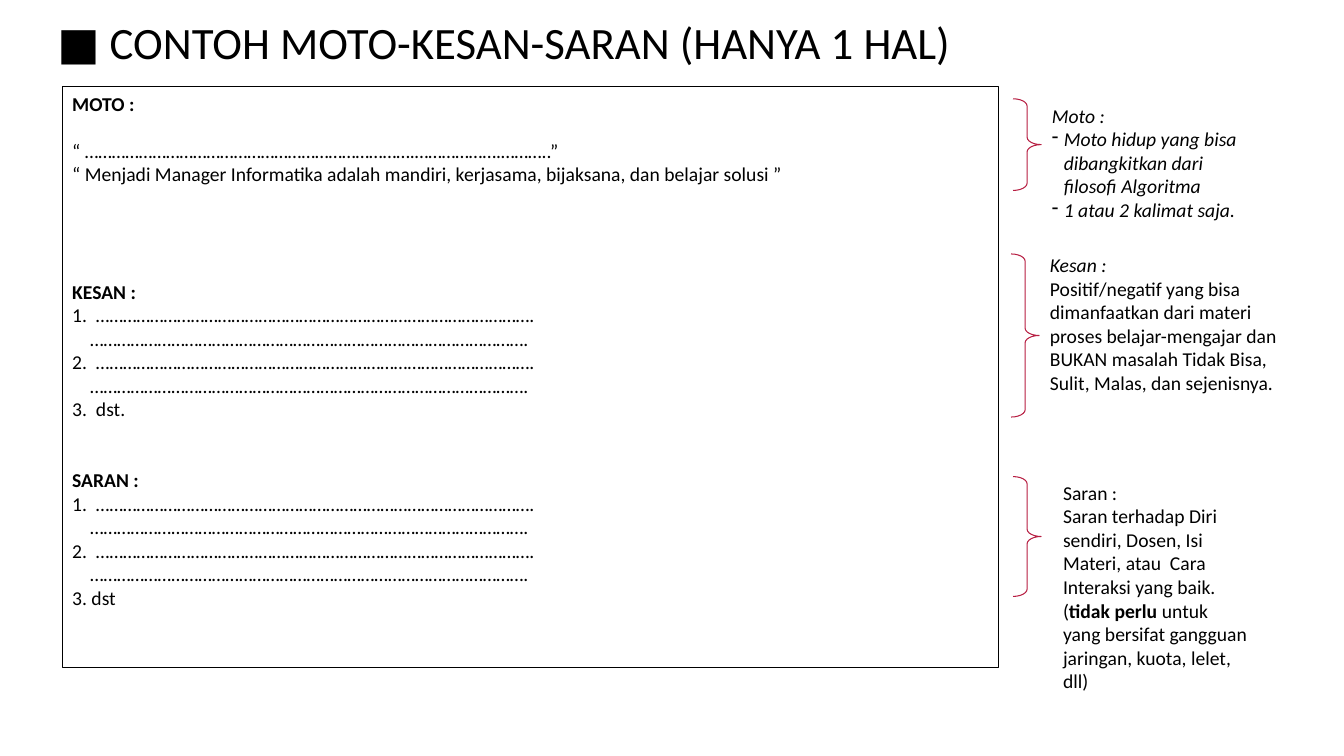
from dataclasses import dataclass

from lxml import etree
from pptx import Presentation
from pptx import util as u
from pptx.dml import color
from pptx.enum import shapes, text
from pptx.oxml import ns

BLACK = "000000"
CRIMSON = "B71E42"
LINE_PITCH = 16.8
NUMBER_INDENT = 0.6
CONTINUATION_INDENT = 0.45
DASH_INDENT = 0.3
DOTS = "……………………………………………………………………………………."


@dataclass(frozen=True)
class Area:
    left: float
    top: float
    width: float
    height: float

    def lengths(self) -> tuple:
        return tuple(u.Cm(v) for v in (self.left, self.top, self.width, self.height))


@dataclass(frozen=True)
class Span:
    text: str
    bold: bool = False
    italic: bool = False


@dataclass(frozen=True)
class Line:
    spans: tuple
    blank_lines: int = 0
    margin: float = 0
    hanging: float = 0
    bullet: str = ""


@dataclass(frozen=True)
class Note:
    brace: Area
    area: Area
    lines: tuple


def plain(words: str, **layout) -> Line:
    return Line((Span(words),), **layout)


def heading(words: str, blank_lines: int = 0) -> Line:
    return Line((Span(words, bold=True),), blank_lines)


def slanted(words: str, **layout) -> Line:
    return Line((Span(words, italic=True),), **layout)


def dashed(words: str) -> Line:
    return slanted(words, margin=DASH_INDENT, hanging=DASH_INDENT, bullet="-")


def dotted_items() -> tuple:
    return tuple(
        line
        for number in (1, 2)
        for line in (
            plain(f"{number}.\t{DOTS}", margin=NUMBER_INDENT, hanging=NUMBER_INDENT),
            plain(DOTS, margin=CONTINUATION_INDENT),
        )
    )


TITLE_AREA = Area(1.19, 0.38, 31.24, 1.37)
FORM_AREA = Area(1.57, 2.18, 23.6, 14.63)
FORM_LINES = (
    heading("MOTO :"),
    plain("“ ……………………………………………………………….……………….………..”", blank_lines=1),
    plain("“ Menjadi Manager Informatika adalah mandiri, kerjasama, bijaksana, "
          "dan belajar solusi ”"),
    heading("KESAN :", blank_lines=4),
    *dotted_items(),
    plain("3.\tdst.", margin=NUMBER_INDENT, hanging=NUMBER_INDENT),
    heading("SARAN :", blank_lines=2),
    *dotted_items(),
    plain("3. dst"),
)
NOTES = (
    Note(Area(25.53, 2.49, 0.71, 2.31), Area(26.26, 2.49, 5.46, 3.25), (
        slanted("Moto :"),
        dashed("Moto hidup yang bisa dibangkitkan dari filosofi Algoritma"),
        dashed("1 atau 2 kalimat saja."),
    )),
    Note(Area(25.48, 6.4, 0.71, 4.11), Area(26.21, 6.25, 6.71, 3.84), (
        slanted("Kesan :"),
        plain("Positif/negatif yang bisa dimanfaatkan dari materi proses "
              "belajar-mengajar dan BUKAN masalah Tidak Bisa, Sulit, Malas, "
              "dan sejenisnya."),
    )),
    Note(Area(25.53, 12.01, 0.71, 3.02), Area(26.54, 11.99, 5.21, 5.64), (
        plain("Saran :"),
        plain("Saran terhadap Diri sendiri, Dosen, Isi Materi, atau  Cara "
              "Interaksi yang baik."),
        Line((Span("("), Span("tidak perlu ", bold=True),
              Span("untuk yang bersifat gangguan jaringan, kuota, lelet, dll)"))),
    )),
)


def rgb(code: str) -> color.RGBColor:
    return color.RGBColor.from_string(code)


def apply(target, values: dict) -> None:
    for name, value in values.items():
        setattr(target, name, value)


def add_span(para, span: Span, size: float) -> None:
    run = para.add_run()
    run.text = span.text
    apply(run.font, {"name": "Calibri", "size": u.Pt(size),
                     "bold": span.bold, "italic": span.italic})
    run.font.color.rgb = rgb(BLACK)


def write_lines(frame, lines: tuple, align) -> None:
    apply(frame, {"word_wrap": True, "auto_size": text.MSO_AUTO_SIZE.NONE,
                  "vertical_anchor": text.MSO_ANCHOR.TOP})
    for index, line in enumerate(lines):
        para = frame.add_paragraph() if index else frame.paragraphs[0]
        apply(para, {"alignment": align,
                     "space_before": u.Pt(line.blank_lines * LINE_PITCH)})
        properties = para._p.get_or_add_pPr()
        properties.set("marL", str(u.Cm(line.margin)))
        properties.set("indent", str(-u.Cm(line.hanging)))
        if line.bullet:
            etree.SubElement(properties, ns.qn("a:buChar"), char=line.bullet)
        for span in line.spans:
            add_span(para, span, 14)


def add_outline(slide, kind, area: Area, line_color: str):
    shape = slide.shapes.add_shape(kind, *area.lengths())
    shape.shadow.inherit = False
    shape.fill.background()
    shape.line.color.rgb = rgb(line_color)
    shape.line.width = u.Pt(0.75)
    return shape


def add_title(slide) -> None:
    title = slide.shapes.title
    apply(title, dict(zip(("left", "top", "width", "height"), TITLE_AREA.lengths())))
    apply(title.text_frame, {"word_wrap": True, "margin_bottom": 0,
                             "auto_size": text.MSO_AUTO_SIZE.NONE,
                             "vertical_anchor": text.MSO_ANCHOR.BOTTOM})
    para = title.text_frame.paragraphs[0]
    apply(para, {"alignment": text.PP_ALIGN.LEFT, "line_spacing": 0.9})
    add_span(para, Span("■ CONTOH MOTO-KESAN-SARAN (HANYA 1 HAL)"), 32)


def add_note(slide, note: Note) -> None:
    brace = add_outline(slide, shapes.MSO_SHAPE.RIGHT_BRACE, note.brace, CRIMSON)
    brace.adjustments[0] = 0.26
    box = slide.shapes.add_textbox(*note.area.lengths())
    write_lines(box.text_frame, note.lines, text.PP_ALIGN.LEFT)


def main() -> None:
    deck = Presentation()
    apply(deck, {"slide_width": u.Cm(33.87), "slide_height": u.Cm(19.05)})
    page = deck.slides.add_slide(deck.slide_layouts.get_by_name("Title Only"))
    add_title(page)
    form = add_outline(page, shapes.MSO_SHAPE.RECTANGLE, FORM_AREA, BLACK)
    write_lines(form.text_frame, FORM_LINES, text.PP_ALIGN.JUSTIFY)
    for note in NOTES:
        add_note(page, note)
    deck.save("out.pptx")


if __name__ == "__main__":
    main()
